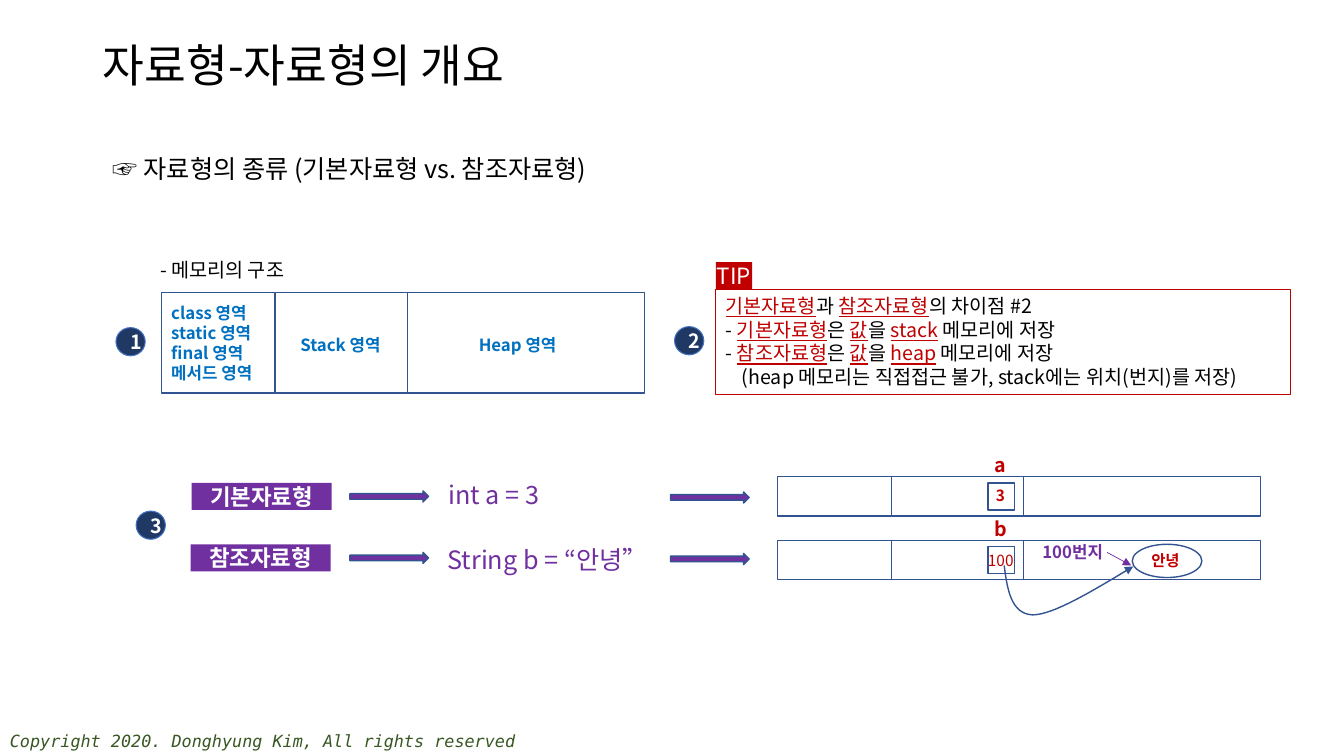
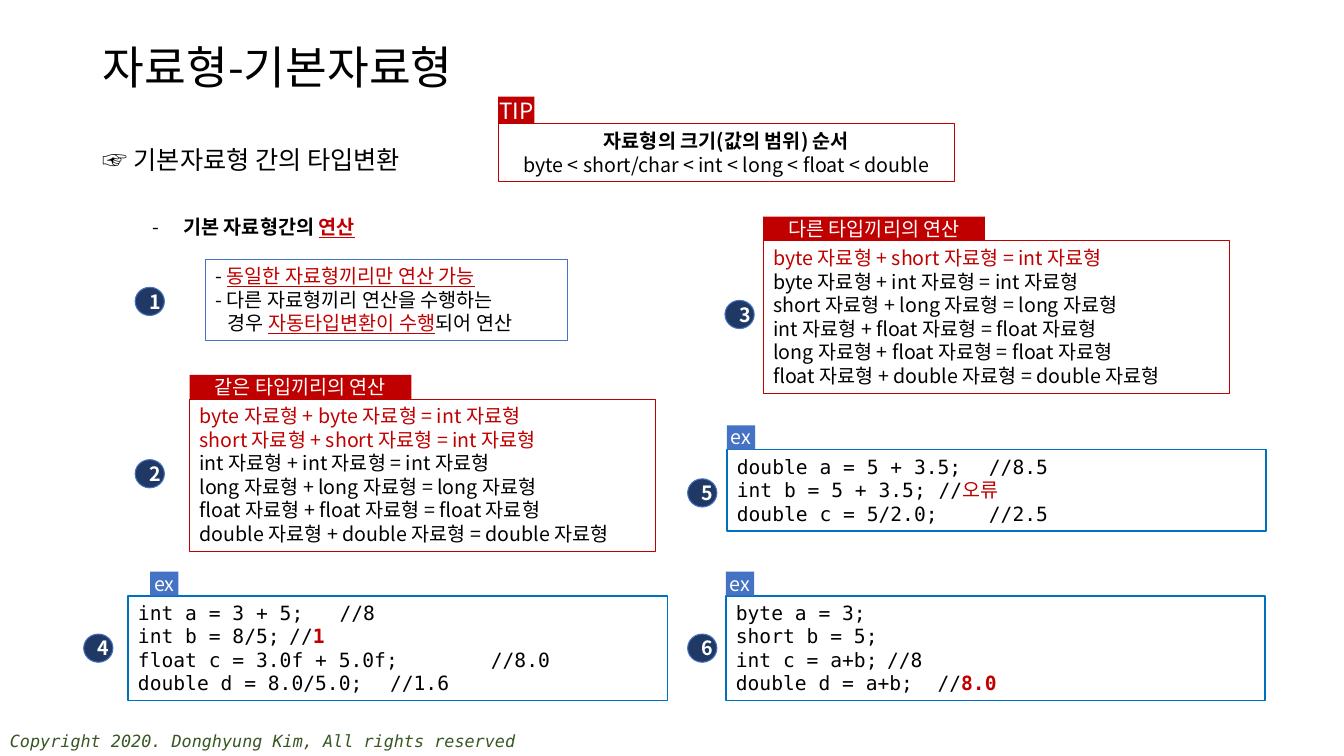
from dataclasses import dataclass, field
from itertools import accumulate

from lxml.etree import SubElement
from pptx import Presentation
from pptx.dml.color import RGBColor
from pptx.enum.shapes import MSO_CONNECTOR, MSO_SHAPE
from pptx.enum.text import MSO_ANCHOR as Anchor, MSO_AUTO_SIZE as AutoSize, PP_ALIGN as Align
from pptx.oxml.ns import qn
from pptx.util import Inches, Pt

# Shared look
SANS, MONO = "Noto Sans CJK KR", "DejaVu Sans Mono"
BLACK, WHITE, RED, PURPLE = "000000", "FFFFFF", "C00000", "7030A0"
BLUE, SKY, NAVY, STEEL, GREEN = "4472C4", "0070C0", "203864", "325491", "385723"
MARK = {"color": RED, "underline": True}
RED_TEXT = {"color": RED}
RED_BOLD = {"color": RED, "bold": True}
BODY_INSETS = (0.1, 0.05)
MEMORY_WIDTHS = (1.13, 1.31, 2.35)
COMMENT_STOPS = (3, 4)

Area = tuple[float, float, float, float]


@dataclass
class Badge:
    number: int
    left: float
    top: float


@dataclass
class Label:
    text: str
    area: Area
    style: dict = field(default_factory=dict)


@dataclass
class Panel:
    """Outlined text box with an optional filled tag on its top edge."""
    area: Area
    lines: list[str]
    line: str = RED
    weight: float = 0.75
    style: dict = field(default_factory=dict)
    tag: str = ""
    tag_fill: str = RED
    tag_size: tuple[float, float] = (0.36, 0.27)
    tag_points: float = 16
    tag_shift: float = 0


def rgb(code: str) -> RGBColor:
    return RGBColor.from_string(code)


def add_span(para, text: str, *, size: float, color: str, font: str,
             bold: bool = False, italic: bool = False, underline: bool = False) -> None:
    span = para.add_run()
    span.text = text
    look = span.font
    look.size, look.name = Pt(size), font
    look.bold, look.italic, look.underline = bold, italic, underline
    look.color.rgb = rgb(color)
    SubElement(look._element, qn("a:ea"), typeface=font)


def set_indent(para, hang: float, bullet: str, stops: tuple[float, ...]) -> None:
    """Set hanging indent, bullet and tab stops, in the order the schema asks for."""
    props = para._p.get_or_add_pPr()
    props.set("marL", str(Inches(hang)))
    props.set("indent", str(-Inches(hang)))
    if bullet:
        SubElement(props, qn("a:buFont"), typeface=SANS)
        SubElement(props, qn("a:buChar"), char=bullet)
    else:
        SubElement(props, qn("a:buNone"))
    if stops:
        tabs = SubElement(props, qn("a:tabLst"))
        for stop in stops:
            SubElement(tabs, qn("a:tab"), pos=str(Inches(stop)), algn="l")


def write(shape, lines: list[str], *, align=Align.LEFT, anchor=Anchor.TOP,
          insets: tuple[float, float] = BODY_INSETS, wrap: bool = True,
          spacing: float = 1.0, hang: float = 0, bullet: str = "",
          stops: tuple[float, ...] = (), accent: dict = MARK, size: float = 14,
          color: str = BLACK, font: str = SANS, **look) -> None:
    """Fill a shape; text between bars takes the accent, a newline breaks the line."""
    frame = shape.text_frame
    frame.word_wrap, frame.auto_size = wrap, AutoSize.NONE
    frame.vertical_anchor = anchor
    frame.margin_left = frame.margin_right = Inches(insets[0])
    frame.margin_top = frame.margin_bottom = Inches(insets[1])
    base = {"size": size, "color": color, "font": font, **look}
    for index, line in enumerate(lines):
        para = frame.add_paragraph() if index else frame.paragraphs[0]
        para.alignment, para.line_spacing = align, spacing
        para.space_before = Pt(0)
        set_indent(para, hang, bullet, stops)
        for order, piece in enumerate(line.split("|")):
            style = base | accent if order % 2 else base
            for row, text in enumerate(piece.split("\n")):
                if row:
                    para.add_line_break()
                if text:
                    add_span(para, text, **style)


def place(shape, area: Area) -> None:
    shape.left, shape.top, shape.width, shape.height = map(Inches, area)


def paint(shape, fill: str = "", line: str = "", weight: float = 1) -> None:
    shape.shadow.inherit = False
    if fill:
        shape.fill.solid()
        shape.fill.fore_color.rgb = rgb(fill)
    else:
        shape.fill.background()
    if line:
        shape.line.color.rgb = rgb(line)
        shape.line.width = Pt(weight)
    else:
        shape.line.fill.background()


def add_figure(page, kind, area: Area, **paint_options):
    shape = page.shapes.add_shape(kind, *map(Inches, area))
    paint(shape, **paint_options)
    return shape


def add_label(page, label: Label) -> None:
    box = page.shapes.add_textbox(*map(Inches, label.area))
    write(box, label.text.split("\n"), **label.style)


def add_tag(page, text: str, area: Area, fill: str, **style) -> None:
    box = add_figure(page, MSO_SHAPE.RECTANGLE, area, fill=fill)
    write(box, [text], align=Align.CENTER, insets=(0, 0), color=WHITE, **style)


def add_panel(page, panel: Panel) -> None:
    box = add_figure(page, MSO_SHAPE.RECTANGLE, panel.area, line=panel.line, weight=panel.weight)
    write(box, panel.lines, **panel.style)
    if panel.tag:
        left, top = panel.area[:2]
        width, height = panel.tag_size
        add_tag(page, panel.tag, (left + panel.tag_shift, top - height, width, height),
                panel.tag_fill, size=panel.tag_points)


def add_badge(page, badge: Badge) -> None:
    disc = add_figure(page, MSO_SHAPE.OVAL, (badge.left, badge.top, 0.29, 0.28),
                      fill=NAVY, line=BLUE, weight=0.75)
    write(disc, [str(badge.number)], align=Align.CENTER, anchor=Anchor.MIDDLE,
          color=WHITE, bold=True)


def add_memory_row(page, left: float, top: float, height: float) -> None:
    starts = accumulate(MEMORY_WIDTHS, initial=left)
    for start, width in zip(starts, MEMORY_WIDTHS):
        add_figure(page, MSO_SHAPE.RECTANGLE, (start, top, width, height), line=STEEL)


def add_arrowhead(shape) -> None:
    SubElement(shape.line._get_or_add_ln(), qn("a:tailEnd"), type="triangle")


def add_pointer(page, start: tuple[float, float], end: tuple[float, float]) -> None:
    pointer = page.shapes.add_connector(MSO_CONNECTOR.STRAIGHT, *map(Inches, (*start, *end)))
    pointer.line.color.rgb = rgb(PURPLE)
    pointer.line.width = Pt(0.5)
    add_arrowhead(pointer)
    SubElement(pointer._element.spPr, qn("a:effectLst"))


def add_curve(page, start: tuple[float, float], bends: list[tuple], steps: int = 16) -> None:
    """Draw an arrow along cubic curves, each given as two handles and an end."""
    points, origin = [], start
    for bend in bends:
        knots = (origin, *bend)
        for step in range(1, steps + 1):
            t = step / steps
            weights = ((1 - t) ** 3, 3 * t * (1 - t) ** 2, 3 * t * t * (1 - t), t ** 3)
            points.append(tuple(Inches(sum(w * knot[axis] for w, knot in zip(weights, knots)))
                                for axis in (0, 1)))
        origin = bend[-1]
    builder = page.shapes.build_freeform(*map(Inches, start))
    builder.add_line_segments(points, close=False)
    curve = builder.convert_to_shape()
    paint(curve, line=STEEL)
    add_arrowhead(curve)


def add_page(deck, title: str, title_top: float, topic: str, topic_area: Area):
    page = deck.slides.add_slide(deck.slide_layouts[1])
    heading, body = page.placeholders
    place(heading, (0.92, title_top, 11.5, 0.54))
    write(heading, [title], size=32.4, anchor=Anchor.MIDDLE, spacing=0.9)
    place(body, topic_area)
    write(body, [topic], size=18)
    add_label(page, Label("Copyright 2020. Donghyung Kim, All rights reserved",
                          (0, 7.2, 7.19, 0.3),
                          {"size": 12, "font": MONO, "color": GREEN, "italic": True}))
    return page


def add_all(page, panels: list[Panel], labels: list[Label], badges: list[Badge]) -> None:
    for draw, items in ((add_panel, panels), (add_label, labels), (add_badge, badges)):
        for item in items:
            draw(page, item)


def sums(*rows: str) -> list[str]:
    """Spell out 'left right result' type names as additions; bars stay outside."""
    lines = []
    for row in rows:
        bar = "|" if row.startswith("|") else ""
        first, second, result = (f"{name} 자료형" for name in row.strip("|").split())
        lines.append(f"{bar}{first} + {second} = {result}{bar}")
    return lines


def sum_panel(left: float, top: float, tag: str, *rows: str) -> Panel:
    return Panel((left, top, 4.62, 1.51), sums(*rows), style={"accent": RED_TEXT},
                 tag=tag, tag_size=(2.2, 0.24), tag_points=14)


def code_panel(left: float, top: float, height: float, lines: list[str],
               accent: dict = RED_BOLD, tag_shift: float = 0) -> Panel:
    style = {"font": MONO, "accent": accent, "stops": COMMENT_STOPS}
    return Panel((left, top, 5.35, height), lines, SKY, 1.25, style,
                 "ex", BLUE, (0.28, 0.24), 14, tag_shift)


deck = Presentation()
deck.slide_width, deck.slide_height = Inches(13.33), Inches(7.5)

# Slide 1: memory layout
page = add_page(deck, "자료형-자료형의 개요", 0.4,
                "☞ 자료형의 종류 (기본자료형 vs. 참조자료형)", (1.02, 1.47, 5.42, 0.4))
add_memory_row(page, 1.6, 2.9, 1)
for row_top in (5.36, 4.73):
    add_memory_row(page, 7.71, row_top, 0.39)
    add_figure(page, MSO_SHAPE.RECTANGLE, (9.8, row_top + 0.06, 0.26, 0.27), line=STEEL)
add_figure(page, MSO_SHAPE.OVAL, (11.23, 5.4, 0.69, 0.33), line=STEEL)

region = {"size": 12, "color": SKY, "bold": True}
value = {"size": 11, "color": RED}
code = {"size": 18, "color": PURPLE, "wrap": False}
difference = Panel((7.1, 2.87, 5.7, 1.04), [
    "|기본자료형|과 |참조자료형|의 차이점 #2",
    "- |기본자료형|은 |값|을 |stack| 메모리에 저장",
    "- |참조자료형|은 |값|을 |heap| 메모리에 저장\n"
    "(heap 메모리는 직접접근 불가, stack에는 위치(번지)를 저장)",
], style={"hang": 0.16}, tag="TIP")
add_all(page, [difference], [
    Label("- 메모리의 구조", (1.49, 2.51, 1.6, 0.34)),
    Label("class 영역\nstatic 영역\nfinal 영역\n메서드 영역", (1.6, 2.95, 1.1, 0.91), region),
    Label("Stack 영역", (2.88, 3.27, 1.02, 0.3), region),
    Label("Heap 영역", (4.65, 3.27, 1.02, 0.3), region),
    Label("a", (9.77, 4.44, 0.31, 0.34), RED_BOLD),
    Label("b", (9.77, 5.08, 0.32, 0.34), RED_BOLD),
    Label("3", (9.78, 4.77, 0.29, 0.29), value | {"bold": True}),
    Label("100", (9.7, 5.42, 0.45, 0.29), value | {"wrap": False}),
    Label("100번지", (10.24, 5.33, 0.83, 0.3), region | {"color": PURPLE}),
    Label("안녕", (11.32, 5.42, 0.51, 0.29), value | {"bold": True}),
    Label("int a = 3", (4.35, 4.71, 1.26, 0.4), code),
    Label("String b = “안녕”", (4.34, 5.35, 2.16, 0.4), code),
], [Badge(1, 1.15, 3.25), Badge(2, 6.69, 3.24), Badge(3, 1.35, 5.07)])

# Type names and the arrows that lead to memory
for kind, left, top in (("기본자료형", 1.9, 4.79), ("참조자료형", 1.89, 5.4)):
    add_tag(page, kind, (left, top, 1.39, 0.27), PURPLE, size=16, bold=True)
    for arrow_left, drop in ((3.47, 0.08), (6.65, 0.09)):
        add_figure(page, MSO_SHAPE.RIGHT_ARROW, (arrow_left, top + drop, 0.78, 0.11),
                   fill=PURPLE, line=STEEL)
add_pointer(page, (10.98, 5.48), (11.22, 5.61))
add_curve(page, (9.96, 5.61), [((9.99, 5.85), (10.03, 6.09), (10.24, 6.1)),
                               ((10.45, 6.1), (10.84, 5.86), (11.24, 5.62))])

# Slide 2: conversion between primitive types
page = add_page(deck, "자료형-기본자료형", 0.42,
                "☞ 기본자료형 간의 타입변환", (0.92, 1.38, 3.53, 0.4))
add_all(page, [
    Panel((4.94, 1.23, 4.53, 0.57),
          ["|자료형의 크기(값의 범위) 순서|", "byte < short/char < int < long < float < double"],
          style={"align": Align.CENTER, "accent": {"bold": True}}, tag="TIP"),
    Panel((2.04, 2.57, 3.59, 0.81),
          ["- |동일한 자료형끼리만 연산 가능|",
           "- 다른 자료형끼리 연산을 수행하는\n경우 |자동타입변환이 수행|되어 연산"],
          BLUE, style={"hang": 0.12}),
    sum_panel(1.88, 3.96, "같은 타입끼리의 연산",
              "|byte byte int|", "|short short int|", "int int int",
              "long long long", "float float float", "double double double"),
    sum_panel(7.57, 2.39, "다른 타입끼리의 연산",
              "|byte short int|", "byte int int", "short long long",
              "int float float", "long float float", "float double double"),
    code_panel(1.27, 5.91, 1.04,
               ["int a = 3 + 5;\t//8", "int b = 8/5;\t//|1|",
                "float c = 3.0f + 5.0f;\t\t//8.0", "double d = 8.0/5.0;\t//1.6"],
               tag_shift=0.22),
    code_panel(7.21, 4.46, 0.81,
               ["double a = 5 + 3.5;\t//8.5", "int b = 5 + 3.5;\t//|오류|",
                "double c = 5/2.0;\t\t//2.5"], RED_TEXT),
    code_panel(7.2, 5.91, 1.04,
               ["byte a = 3;", "short b = 5;", "int c = a+b;\t//8", "double d = a+b;\t//|8.0|"]),
], [
    Label("기본 자료형간의 |연산|", (1.41, 2.08, 2.42, 0.34),
          {"bold": True, "hang": 0.31, "bullet": "-"}),
], [Badge(1, 1.34, 2.85), Badge(2, 1.34, 4.56), Badge(3, 7.19, 2.98),
    Badge(4, 0.83, 6.29), Badge(5, 6.82, 4.75), Badge(6, 6.82, 6.29)])

deck.save("out.pptx")
